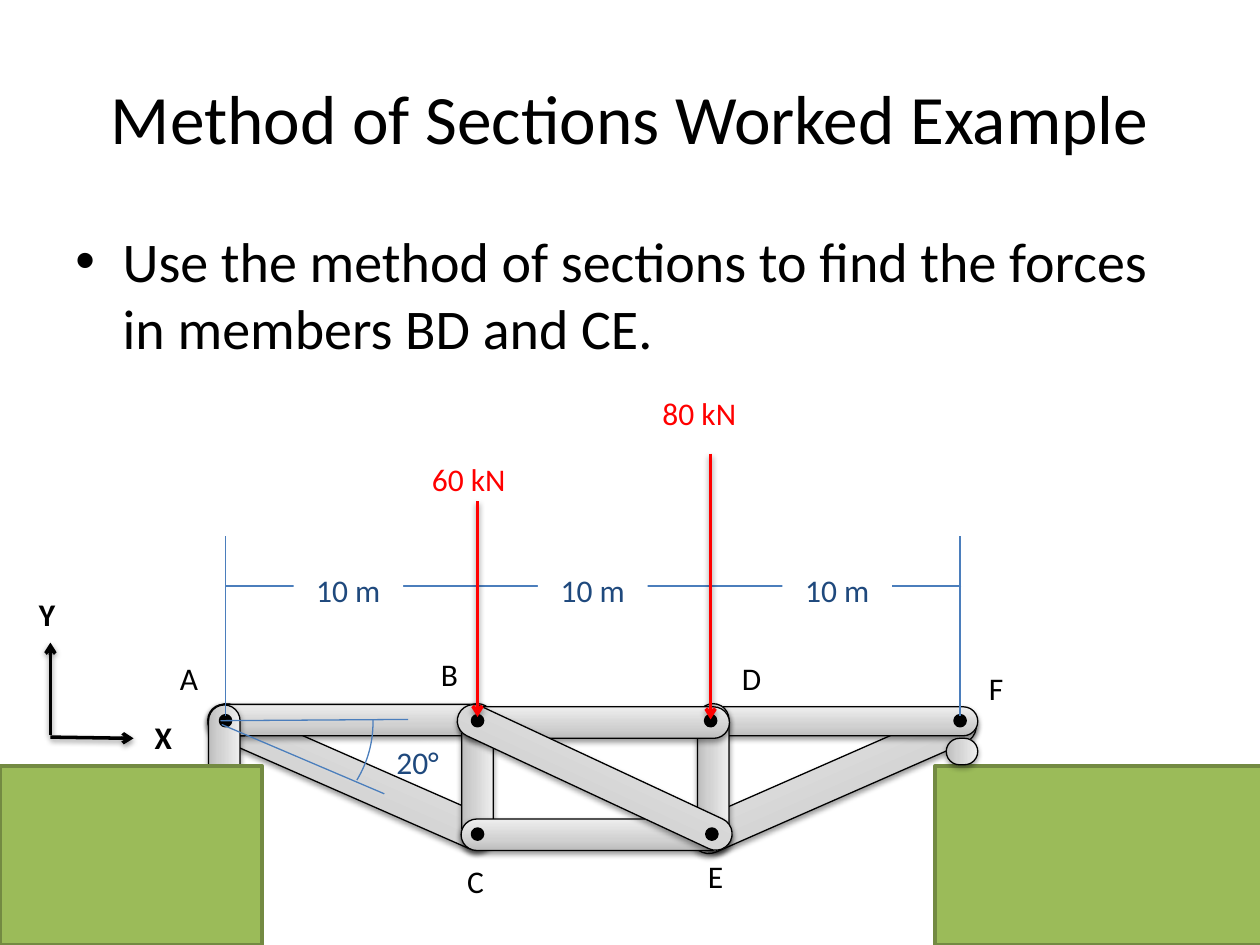
"""Build a worked-example slide showing a loaded truss bridge."""
import copy
from typing import NamedTuple, Optional

import lxml.etree
import pptx
import pptx.dml.color
import pptx.enum.shapes
import pptx.enum.text
import pptx.oxml.ns
import pptx.util

COLUMNS, ROWS = 100, 75
FONT = "Calibri"
COLORS = {
    "ink": "000000", "paper": "FFFFFF", "load": "FF0000", "dimension": "4B7EBC",
    "measure": "1F497D", "bank": "9BBB59", "bank edge": "738A42",
    "steel dark": "BDBDBD", "steel": "D1D1D1", "steel light": "EEEEEE",
}
STEEL_STOPS = ((0, "steel dark"), (0.35, "steel"), (1, "steel light"))
SHAPES = pptx.enum.shapes.MSO_SHAPE
ALIGN = pptx.enum.text.PP_ALIGN
ANCHOR = pptx.enum.text.MSO_ANCHOR


class Area(NamedTuple):
    left: float
    top: float
    width: float
    height: float


class Member(NamedTuple):
    area: Area
    turn: float = 0


class Label(NamedTuple):
    words: str
    area: Area
    color: str = "ink"
    size: float = 18
    bold: bool = False
    align: Optional[ALIGN] = None
    anchor: ANCHOR = ANCHOR.TOP
    fill: Optional[str] = None
    bullet: bool = False


class Stroke(NamedTuple):
    start: tuple[float, float]
    end: tuple[float, float]
    color: str = "dimension"
    arrow: bool = False


DECK_Y, LOWER_Y = 57.2, 66.2
A_X, B_X, D_X, F_X = 17.9, 37.9, 56.4, 76.2
PINS = [(A_X, DECK_Y), (B_X, DECK_Y), (D_X, DECK_Y), (F_X, DECK_Y),
        (D_X + 0.1, LOWER_Y), (B_X, LOWER_Y)]
PIN_SIZE = 0.8

BACK_MEMBERS = [
    Member(Area(53.9, 60.5, 24.5, 2.9), 336.3),
    Member(Area(15.6, 60.2, 24.5, 2.9), 23.7),
    Member(Area(16.5, 55.9, 22.6, 2.5)),
    Member(Area(12.9, 59.6, 9.8, 2.5), 90),
]
FRONT_MEMBERS = [
    Member(Area(32.1, 60.4, 11.6, 2.5), 90),
    Member(Area(55.4, 56.1, 22.2, 2.3)),
    Member(Area(50.8, 60.4, 11.6, 2.5), 90),
    Member(Area(75.3, 58.4, 2.1, 2.5), 90),
    Member(Area(36.6, 65, 21.3, 2.5)),
    Member(Area(36.6, 56.1, 21.3, 2.5)),
    Member(Area(35.3, 60.4, 23.8, 2.6), 25),
]
BANKS = [Area(0, 60.8, 20.8, 14.2), Area(74.2, 60.8, 26.1, 14.2)]
DIMENSION_LINE = Stroke((76.3, 46.5), (A_X, 46.5))
STROKES = [
    Stroke((B_X, 39.8), (B_X, 56.9), "load", True),
    Stroke((D_X, 36), (D_X, 57.1), "load", True),
    Stroke((A_X, 56.8), (A_X, 42.5)),
    Stroke((F_X, 56.8), (F_X, 42.5)),
    Stroke((17.5, 57.2), (32.4, 57.1)),
    Stroke((17.6, 57.5), (30.5, 63)),
    Stroke((4, 58.5), (10.6, 58.6), "ink", True),
    Stroke((4, 58.3), (4, 51), "ink", True),
]
ANGLE_ARC = Area(10.4, 48.2, 19.2, 18.3)

TEXTS = [
    Label("Method of Sections Worked Example", Area(5, 3, 90, 12.5), size=39.6,
          align=ALIGN.CENTER, anchor=ANCHOR.MIDDLE),
    Label("Use the method of sections to find the forces in members BD and CE.",
          Area(5, 17.5, 90, 13.3), size=32, bullet=True),
]
JOINT_LABELS = [
    Label(name, Area(left, top, 3.3, 4)) for name, left, top in (
        ("A", 13.3, 51.8), ("B", 34, 51.5), ("D", 57.9, 51.8),
        ("C", 36.1, 67.9), ("E", 55.2, 67.5), ("F", 77.5, 52.6))
]
LOAD_LABELS = [Label("60 kN", Area(33.3, 36, 9.3, 4), "load"),
               Label("80 kN", Area(51.6, 30.8, 9.3, 4), "load")]
SPAN_LABELS = [
    Label("10 m", Area(23.3 + 19.4 * bay, 44.8, 8.7, 4), "measure",
          align=ALIGN.CENTER, fill="paper")
    for bay in range(3)
]
OTHER_LABELS = [
    Label("20°", Area(28.8, 58.5, 8.7, 4), "measure", align=ALIGN.CENTER),
    Label("X", Area(11.3, 56.5, 3.7, 4), bold=True),
    Label("Y", Area(2.1, 46.7, 3.7, 4), bold=True),
]

deck = pptx.Presentation()
deck.slide_width, deck.slide_height = pptx.util.Inches(10), pptx.util.Inches(7.5)
slide = deck.slides.add_slide(deck.slide_layouts[6])


def across(columns: float) -> int:
    return round(deck.slide_width * columns / COLUMNS)


def down(rows: float) -> int:
    return round(deck.slide_height * rows / ROWS)


def place(area: Area) -> tuple[int, int, int, int]:
    return across(area.left), down(area.top), across(area.width), down(area.height)


def rgb(name: str) -> pptx.dml.color.RGBColor:
    return pptx.dml.color.RGBColor.from_string(COLORS[name])


def add_node(parent, tag: str, **attributes: str):
    return lxml.etree.SubElement(parent, pptx.oxml.ns.qn(tag), attributes)


def add_shadow(effects) -> None:
    shadow = add_node(effects, "a:outerShdw", blurRad="40000", dist="20000",
                      dir="5400000", rotWithShape="0")
    color = add_node(shadow, "a:srgbClr", val=COLORS["ink"])
    add_node(color, "a:alpha", val="38000")


def draw_shape(kind: SHAPES, area: Area, fill: Optional[str], edge: str, weight: float):
    shape = slide.shapes.add_shape(kind, *place(area))
    shape.shadow.inherit = False
    if fill:
        shape.fill.solid()
        shape.fill.fore_color.rgb = rgb(fill)
    else:
        shape.fill.background()
    shape.line.color.rgb = rgb(edge)
    shape.line.width = pptx.util.Pt(weight)
    return shape


def draw_member(member: Member) -> None:
    shape = draw_shape(SHAPES.ROUNDED_RECTANGLE, member.area, None, "ink", 0.75)
    shape.adjustments[0] = 0.5
    shape.rotation = member.turn
    shape.fill.gradient()
    shape.fill.gradient_angle = 90
    properties = shape._element.spPr
    stops = properties.find(".//" + pptx.oxml.ns.qn("a:gsLst"))
    stops.append(copy.deepcopy(stops[0]))
    for stop, (position, color) in zip(shape.fill.gradient_stops, STEEL_STOPS):
        stop.position = position
        stop.color.rgb = rgb(color)
    add_shadow(properties.find(pptx.oxml.ns.qn("a:effectLst")))


def draw_stroke(stroke: Stroke) -> None:
    (x1, y1), (x2, y2) = stroke.start, stroke.end
    line = slide.shapes.add_connector(pptx.enum.shapes.MSO_CONNECTOR.STRAIGHT,
                                      across(x1), down(y1), across(x2), down(y2))
    line.line.color.rgb = rgb(stroke.color)
    line.line.width = pptx.util.Pt(2 if stroke.arrow else 0.75)
    properties = line._element.spPr
    effects = add_node(properties, "a:effectLst")
    if stroke.arrow:
        add_node(properties.find(pptx.oxml.ns.qn("a:ln")), "a:tailEnd", type="arrow")
        add_shadow(effects)


def draw_label(label: Label) -> None:
    box = slide.shapes.add_textbox(*place(label.area))
    if label.fill:
        box.fill.solid()
        box.fill.fore_color.rgb = rgb(label.fill)
    box.text_frame.word_wrap = True
    box.text_frame.vertical_anchor = label.anchor
    para = box.text_frame.paragraphs[0]
    para.alignment = label.align
    if label.bullet:
        settings = para._p.get_or_add_pPr()
        settings.set("marL", "342900")
        settings.set("indent", "-342900")
        add_node(settings, "a:buFont", typeface="Arial")
        add_node(settings, "a:buChar", char="•")
    span = para.add_run()
    span.text = label.words
    span.font.name = FONT
    span.font.size = pptx.util.Pt(label.size)
    span.font.bold = label.bold
    span.font.color.rgb = rgb(label.color)


def main() -> None:
    draw_stroke(DIMENSION_LINE)
    for member in BACK_MEMBERS:
        draw_member(member)
    for bank in BANKS:
        draw_shape(SHAPES.RECTANGLE, bank, "bank", "bank edge", 2)
    for member in FRONT_MEMBERS:
        draw_member(member)
    for x, y in PINS:
        spot = Area(x - PIN_SIZE / 2, y - PIN_SIZE / 2, PIN_SIZE, PIN_SIZE)
        draw_shape(SHAPES.OVAL, spot, "ink", "ink", 2)
    for stroke in STROKES:
        draw_stroke(stroke)
    arc = draw_shape(SHAPES.ARC, ANGLE_ARC, None, "dimension", 0.75)
    arc.adjustments[0], arc.adjustments[1] = 215.22, 17.25
    for label in TEXTS + JOINT_LABELS + LOAD_LABELS + SPAN_LABELS + OTHER_LABELS:
        draw_label(label)
    deck.save("out.pptx")


if __name__ == "__main__":
    main()
